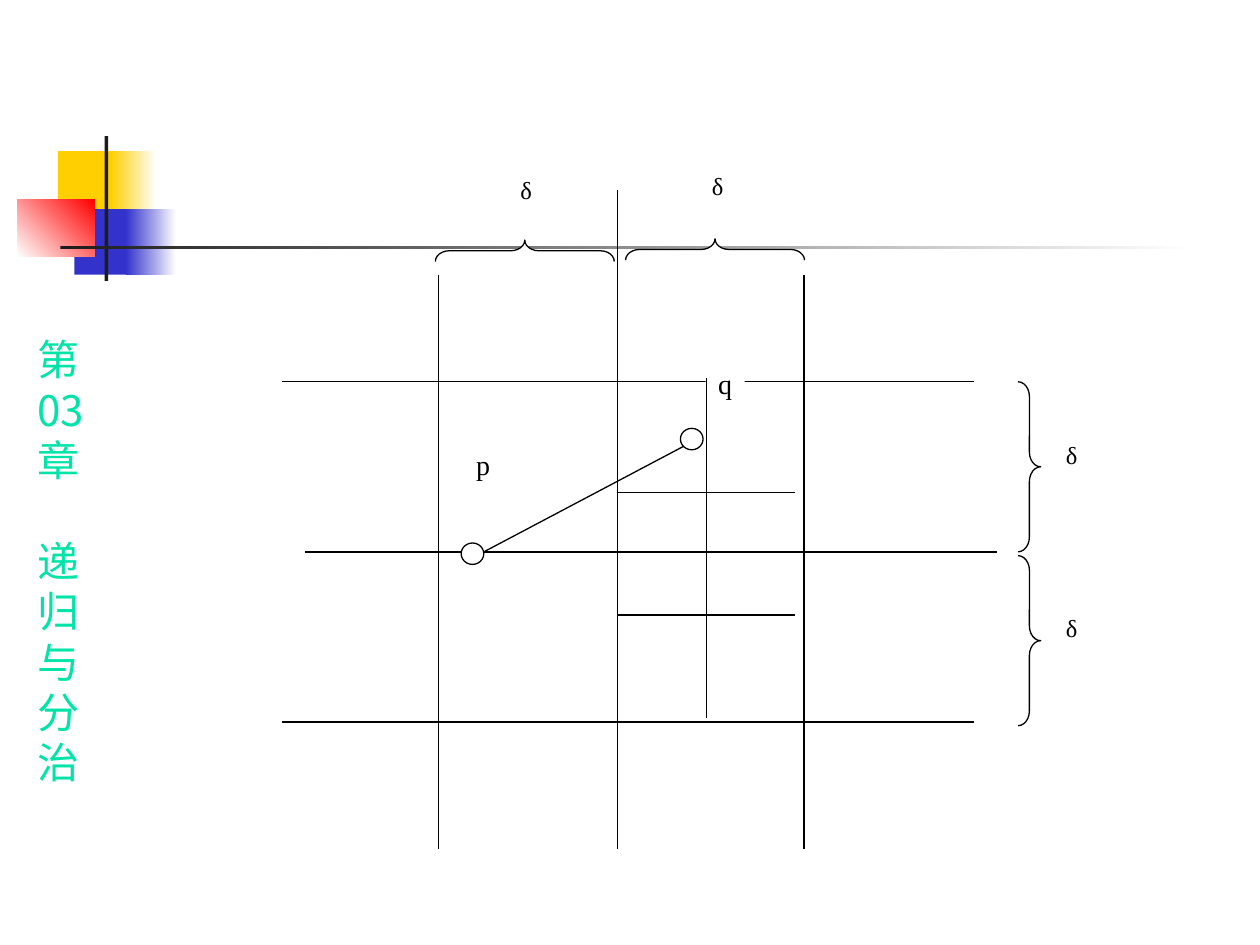
import pptx
import pptx.util
import pptx.dml.color
import pptx.enum.shapes
import pptx.enum.text
import pptx.oxml
import pptx.oxml.ns

Inches = pptx.util.Inches
Pt = pptx.util.Pt
SHAPE = pptx.enum.shapes.MSO_SHAPE

INK = "000000"
PAPER = "FFFFFF"
LINE_WIDTH = 0.75

ORNAMENTS = [
    ((0.46, 1.2, 0.48, 0.52), ["FFCF01"], 0),
    ((0.88, 1.2, 0.36, 0.52), ["FFCF01", PAPER], 0),
    ((0.59, 1.66, 0.46, 0.52), ["3333CC"], 0),
    ((1, 1.66, 0.4, 0.52), ["3333CC", PAPER], 0),
    ((0.14, 1.58, 0.61, 0.46), [PAPER, "FF0000"], 45),
    ((0.83, 1.08, 0.03, 1.15), ["1C1C1C"], 0),
    ((0.48, 1.95, 9, 0.03), ["1C1C1C", PAPER], 0),
]

CHAPTER_LINES = ["第", "03", "章", "递", "归", "与", "分", "治"]
CHAPTER_GAP_BEFORE = "递"
CHAPTER_FONT = "Noto Sans CJK JP"
CHAPTER_PITCH = 28.8

LEFT, MIDDLE, RIGHT = 3.48, 4.9, 6.38
BOTTOM = 6.74
STRIP_LINES = [
    (MIDDLE, 1.51, MIDDLE, BOTTOM),
    (LEFT, 2.18, LEFT, BOTTOM),
    (RIGHT, 2.18, RIGHT, BOTTOM),
    (2.24, 3.03, 7.73, 3.03),
    (2.24, 5.73, 7.73, 5.73),
    (2.42, 4.38, 7.91, 4.38),
    (3.84, 4.38, 5.43, 3.54),
]
CELL_LINES = [(5.61, 3, 5.61, 5.7)] + [(6.31, y, MIDDLE, y) for y in (3.91, 4.88)]

POINTS = [(3.66, 4.31), (5.4, 3.4)]
POINT_LABELS = [("p", 3.68, 3.5), ("q", 5.6, 2.86)]
BRACES = [
    ((8.08, 3.03, 0.18, 1.35), 0, (8.36, 3.44)),
    ((8.08, 4.41, 0.18, 1.35), 0, (8.36, 4.82)),
    ((5.59, 1.27, 0.17, 1.42), 270, (5.55, 1.31)),
    ((4.08, 1.28, 0.17, 1.42), 270, (4.03, 1.34)),
]


def colour(hex_string):
    return pptx.dml.color.RGBColor.from_string(hex_string)


def add_box(slide, preset, place, fills, angle=0, outlined=False):
    box = slide.shapes.add_shape(preset, *[Inches(v) for v in place])
    box.shadow.inherit = False
    if len(fills) == 1:
        box.fill.solid()
        box.fill.fore_color.rgb = colour(fills[0])
    else:
        box.fill.gradient()
        box.fill.gradient_angle = angle
        for stop, position, shade in zip(box.fill.gradient_stops, (0, 1), fills):
            stop.position = position
            stop.color.rgb = colour(shade)
    if outlined:
        box.line.color.rgb = colour(INK)
        box.line.width = Pt(LINE_WIDTH)
    else:
        box.line.fill.background()
    return box


def add_line(slide, ends):
    line = slide.shapes.add_connector(
        pptx.enum.shapes.MSO_CONNECTOR.STRAIGHT, *[Inches(v) for v in ends])
    line.line.color.rgb = colour(INK)
    line.line.width = Pt(LINE_WIDTH)
    line._element.spPr.append(pptx.oxml.parse_xml(
        "<a:effectLst %s/>" % pptx.oxml.ns.nsdecls("a")))


def add_label(slide, wording, place, size):
    label = add_box(slide, SHAPE.RECTANGLE, place, [PAPER])
    frame = label.text_frame
    frame.word_wrap = False
    frame.vertical_anchor = pptx.enum.text.MSO_ANCHOR.TOP
    frame.text = wording
    paragraph = frame.paragraphs[0]
    paragraph.alignment = pptx.enum.text.PP_ALIGN.CENTER
    paragraph.space_before = Pt(size / 4)
    font = paragraph.runs[0].font
    font.name = "Times New Roman"
    font.size = Pt(size)
    font.color.rgb = colour(INK)


def add_chapter(slide):
    chapter = slide.shapes.add_textbox(
        Inches(0.2), Inches(2.6), Inches(0.58), Inches(3.7))
    frame = chapter.text_frame
    frame.word_wrap = False
    frame.text = "\n".join(CHAPTER_LINES)
    for paragraph in frame.paragraphs:
        paragraph.line_spacing = Pt(CHAPTER_PITCH)
        if paragraph.text == CHAPTER_GAP_BEFORE:
            paragraph.space_before = Pt(CHAPTER_PITCH)
        font = paragraph.runs[0].font
        font.name = CHAPTER_FONT
        font.size = Pt(24)
        font.color.rgb = colour("00E4A8")
        font._element.append(pptx.oxml.parse_xml(
            '<a:ea %s typeface="%s"/>' % (pptx.oxml.ns.nsdecls("a"), CHAPTER_FONT)))


def main():
    deck = pptx.Presentation()
    deck.slide_width = Inches(10)
    deck.slide_height = Inches(7.5)
    slide = deck.slides.add_slide(deck.slide_layouts[6])

    for place, fills, angle in ORNAMENTS:
        add_box(slide, SHAPE.RECTANGLE, place, fills, angle)
    add_chapter(slide)
    for ends in STRIP_LINES:
        add_line(slide, ends)
    for left, top in POINTS:
        add_box(slide, SHAPE.OVAL, (left, top, 0.18, 0.17), [PAPER], outlined=True)
    for wording, left, top in POINT_LABELS:
        add_label(slide, wording, (left, top, 0.31, 0.37), 16)
    for place, turn, (left, top) in BRACES:
        brace = add_box(slide, SHAPE.RIGHT_BRACE, place, [PAPER], outlined=True)
        brace.adjustments[0] = 0.65
        brace.rotation = turn
        add_label(slide, "δ", (left, top, 0.29, 0.34), 14)
    for ends in CELL_LINES:
        add_line(slide, ends)

    deck.save("out.pptx")


if __name__ == "__main__":
    main()
